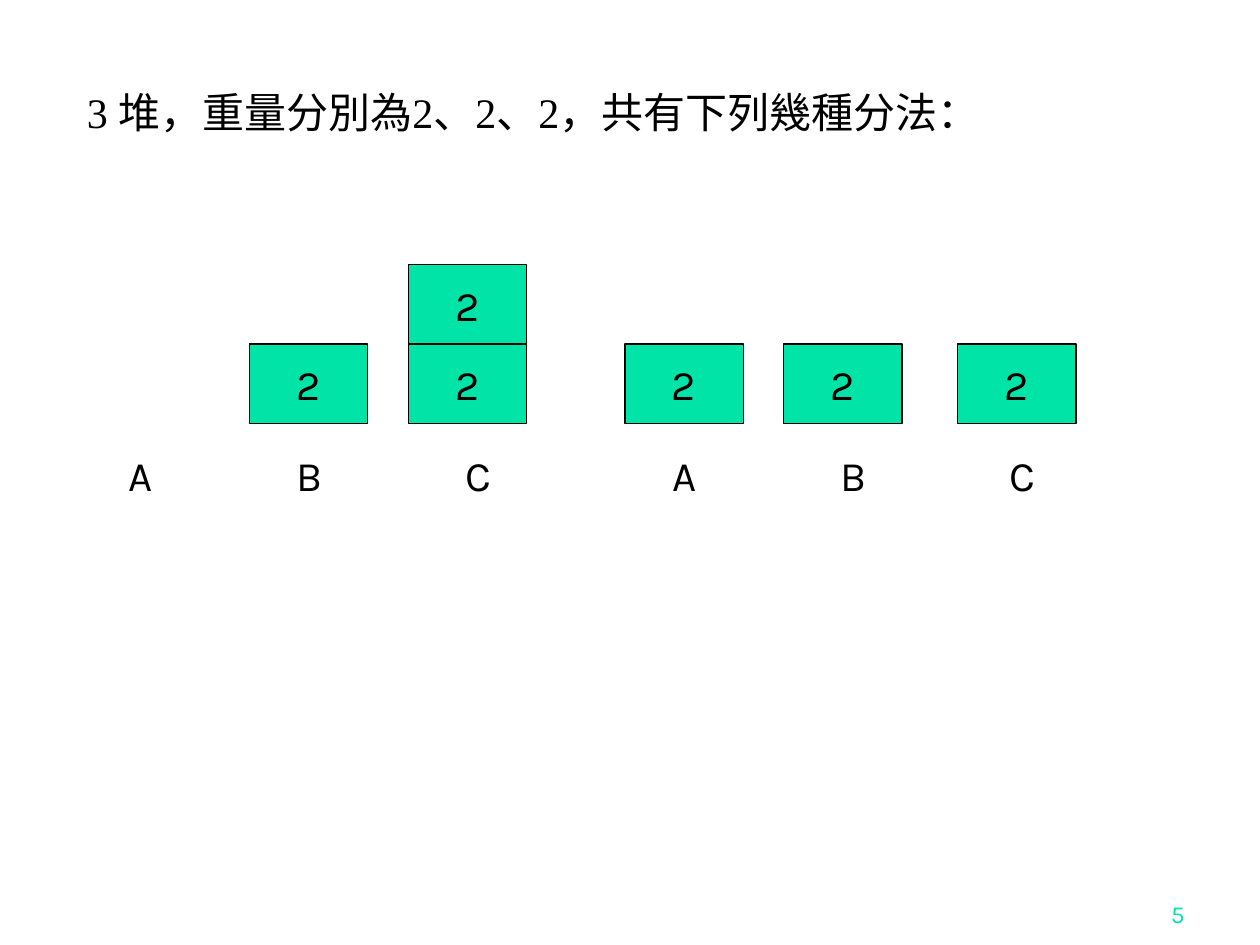
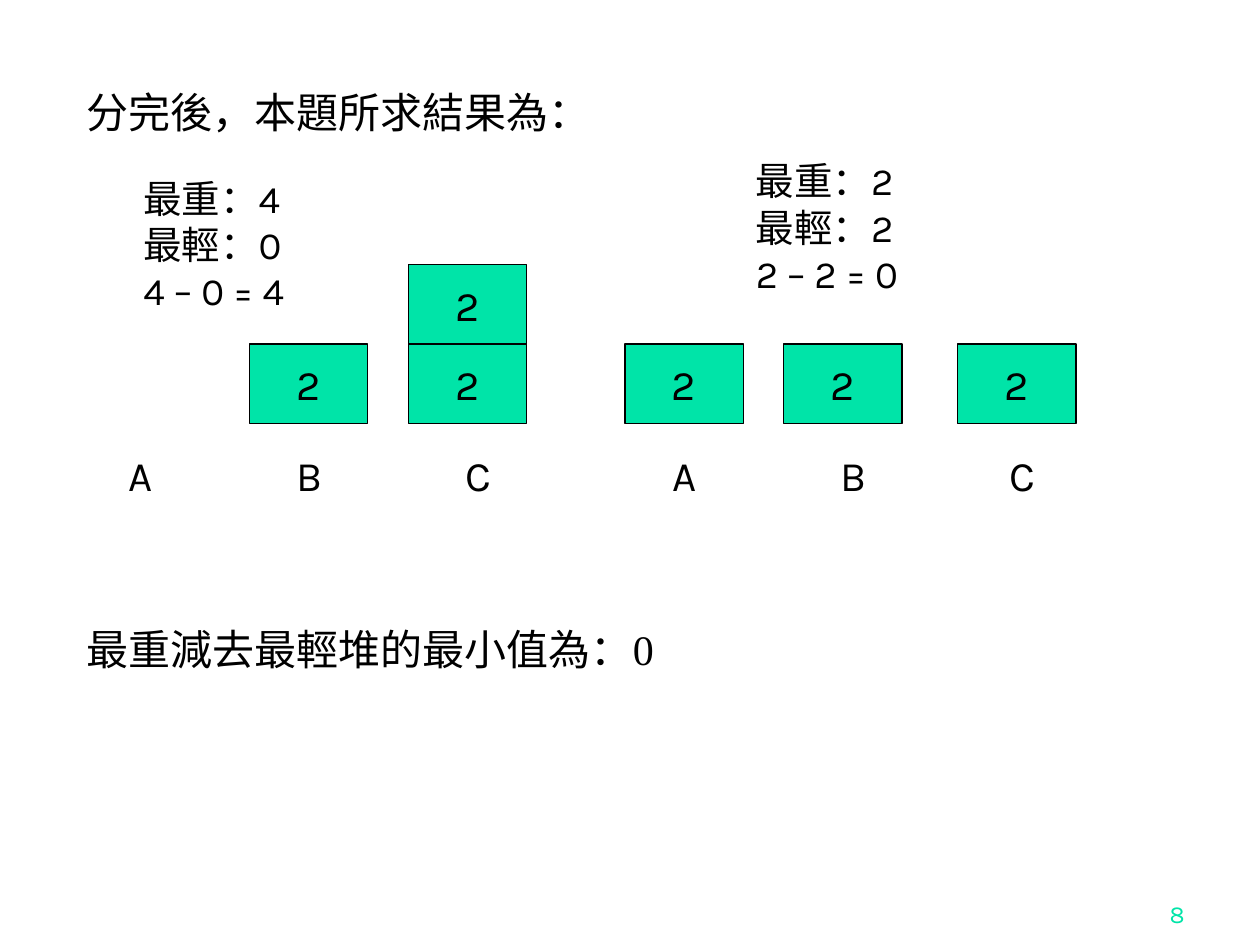
"""Build two slides that show how three piles are split into groups."""
from dataclasses import dataclass

from lxml.etree import SubElement
from pptx import Presentation
from pptx.dml.color import RGBColor
from pptx.enum.shapes import MSO_SHAPE
from pptx.enum.text import MSO_ANCHOR, MSO_AUTO_SIZE, PP_ALIGN
from pptx.oxml.ns import qn
from pptx.util import Inches, Pt

SLIDES = [
    {"page": "5",
     "lines": ["3 堆，重量分別為2、2、2，共有下列幾種分法："],
     "notes": []},
    {"page": "8",
     "lines": ["分完後，本題所求結果為：", "最重減去最輕堆的最小值為：0"],
     "notes": [((1.04, 1.34), ["最重：4", "最輕：0", "4 – 0 = 4"]),
               ((5.9, 1.2), ["最重：2", "最輕：2", "2 – 2 = 0"])]},
]
SPLITS = [
    {"left": 0.72, "piles": [("A", None, []), ("B", 1.98, ["2"]), ("C", 3.24, ["2", "2"])]},
    {"left": 5.04, "piles": [("A", 4.96, ["2"]), ("B", 6.22, ["2"]), ("C", 7.6, ["2"])]},
]


@dataclass(frozen=True)
class Theme:
    green = RGBColor.from_string("00E4A8")
    black = RGBColor.from_string("000000")
    sans = "Karla"
    serif = "Times New Roman"
    large = Pt(24)
    note = Pt(22)
    small = Pt(14)
    edge = Pt(0.75)
    space = Pt(281)


T = Theme()
BODY = (0.59, 0.68, 8.74, 6.07)
PAGE = (7.42, 6.92, 2.08, 0.5)
NOTE = (1.93, 1.21)
LABEL = (0.79, 0.5)
LABEL_TOP, LABEL_STEP = 3.52, 1.34
BLOCK = (0.94, 0.63)
FLOOR = 3.36

LEAD = {"name": T.serif, "size": T.large, "color": T.black}
MAIN = {"name": T.sans, "size": T.large, "color": T.black}
SIDE = {**MAIN, "size": T.note}
FOOT = {"name": T.sans, "size": T.small, "color": T.green}


def style(font, form):
    for key, val in form.items():
        if key == "color":
            font.color.rgb = val
        else:
            setattr(font, key, val)


def write(frame, lines, form, align=PP_ALIGN.LEFT, **setup):
    for key, val in setup.items():
        setattr(frame, key, val)
    for num, line in enumerate(lines):
        para = frame.add_paragraph() if num else frame.paragraphs[0]
        para.alignment = align
        run = para.add_run()
        run.text = line
        style(run.font, form)


def add_text(slide, spot, lines, form, **setup):
    box = slide.shapes.add_textbox(*map(Inches, spot))
    write(box.text_frame, lines, form, word_wrap=True, **setup)


def add_block(slide, left, top, text):
    block = slide.shapes.add_shape(
        MSO_SHAPE.RECTANGLE, *map(Inches, (left, top, *BLOCK)))
    block.shadow.inherit = False
    block.fill.solid()
    block.fill.fore_color.rgb = T.green
    block.line.color.rgb = T.black
    block.line.width = T.edge
    write(block.text_frame, [text], MAIN, PP_ALIGN.CENTER,
          word_wrap=False, vertical_anchor=MSO_ANCHOR.MIDDLE)


def add_split(slide, split):
    for col, (name, left, loads) in enumerate(split["piles"]):
        spot = (split["left"] + col * LABEL_STEP, LABEL_TOP, *LABEL)
        add_text(slide, spot, [name], MAIN, align=PP_ALIGN.CENTER,
                 vertical_anchor=MSO_ANCHOR.MIDDLE,
                 auto_size=MSO_AUTO_SIZE.SHAPE_TO_FIT_TEXT)
        for row, load in enumerate(loads, 1):
            add_block(slide, left, FLOOR - row * BLOCK[1], load)


def fill_body(slide, lines):
    title, body = slide.placeholders
    title.element.getparent().remove(title.element)
    body.left, body.top, body.width, body.height = map(Inches, BODY)
    write(body.text_frame, lines, LEAD, auto_size=MSO_AUTO_SIZE.NONE)
    for num, para in enumerate(body.text_frame.paragraphs):
        para.line_spacing = 0.9
        para.space_before = T.space if num else Pt(0)
        props = para._p.get_or_add_pPr()
        props.set("marL", "0")
        props.set("indent", "0")
        SubElement(props, qn("a:buNone"))


def main():
    deck = Presentation()
    deck.slide_width, deck.slide_height = Inches(10), Inches(7.5)
    for data in SLIDES:
        slide = deck.slides.add_slide(deck.slide_layouts[1])
        fill_body(slide, data["lines"])
        add_text(slide, PAGE, [data["page"]], FOOT, align=PP_ALIGN.RIGHT,
                 vertical_anchor=MSO_ANCHOR.BOTTOM)
        for split in SPLITS:
            add_split(slide, split)
        for spot, lines in data["notes"]:
            add_text(slide, (*spot, *NOTE), lines, SIDE,
                     auto_size=MSO_AUTO_SIZE.SHAPE_TO_FIT_TEXT)
    deck.save("out.pptx")


if __name__ == "__main__":
    main()
